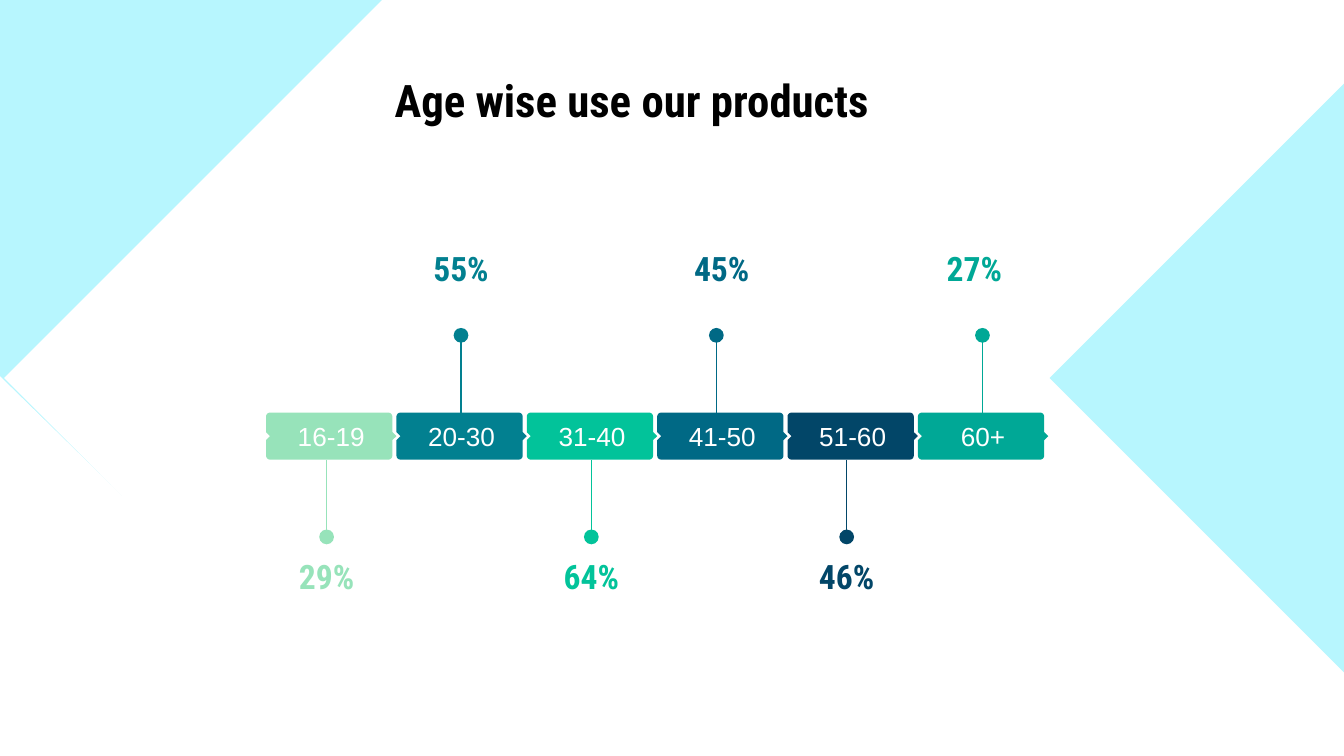
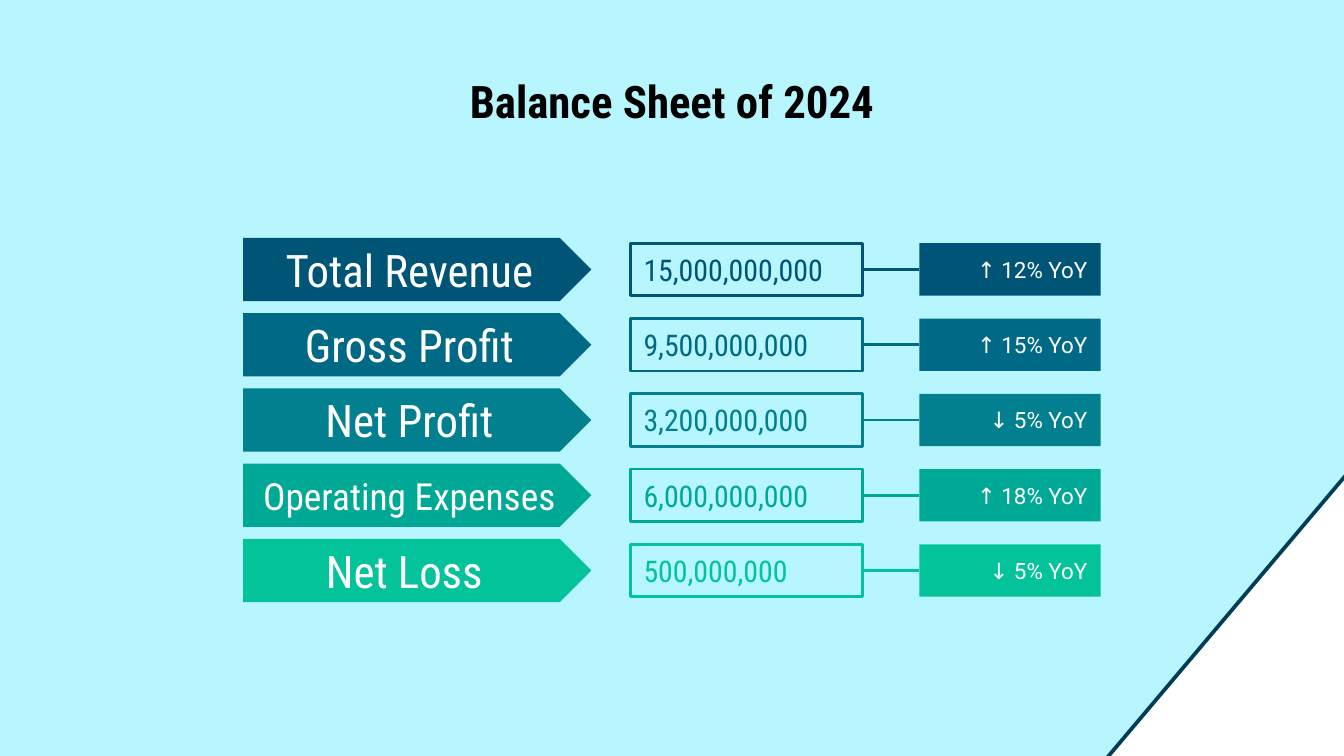
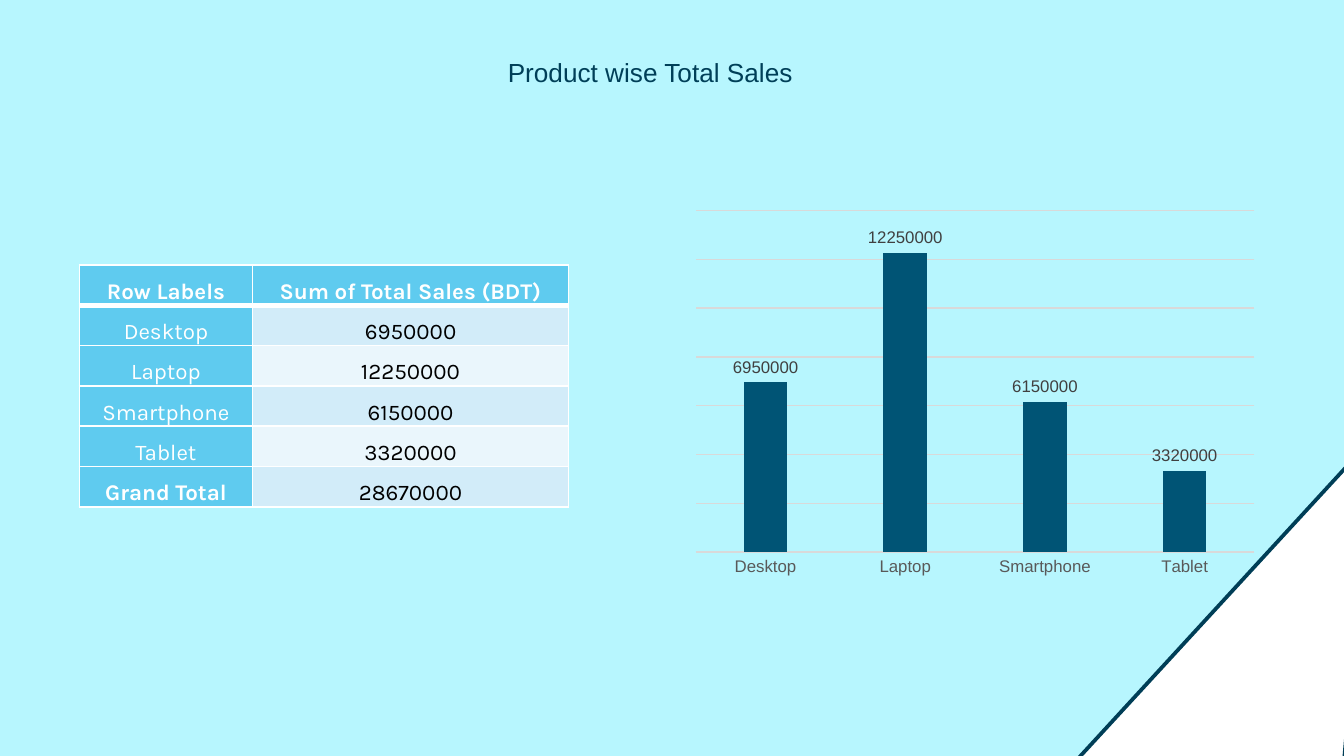
import math

from lxml import etree
from pptx import Presentation
from pptx import util as u
from pptx.chart.data import CategoryChartData
from pptx.dml.color import RGBColor
from pptx.enum import chart as charts, shapes, text
from pptx.oxml.ns import qn

COLORS = {
    "page": "B7F6FE", "white": "FFFFFF", "black": "000000",
    "mint": "97E3BA", "teal": "028090", "green": "02C39A",
    "ocean": "006985", "navy": "024668", "jade": "00A896",
    "deep": "005475", "edge": "003E57", "heading": "003F58",
    "header": "5FCBEF", "band": "D2ECF9", "pale": "EAF6FC",
    "grid": "D9D9D9", "axis": "595959", "value": "404040",
}
CONDENSED = "Roboto Condensed"
CENTER = text.PP_ALIGN.CENTER
LEFT = text.PP_ALIGN.LEFT
RIGHT = text.PP_ALIGN.RIGHT
SHAPE = shapes.MSO_SHAPE
PAGE_WIDTH = 10
PAGE_HEIGHT = PAGE_WIDTH * 9 / 16

AGE_GROUPS = [
    ("16-19", "29%", "mint", 2.43, 2.43),
    ("20-30", "55%", "teal", 3.43, 3.43),
    ("31-40", "64%", "green", 4.4, 4.4),
    ("41-50", "45%", "ocean", 5.33, 5.37),
    ("51-60", "46%", "navy", 6.3, 6.3),
    ("60+", "27%", "jade", 7.31, 7.25),
]
BALANCE = [
    ("Total Revenue", "15,000,000,000", "↑ 12% YoY", "deep", 24),
    ("Gross Profit", "9,500,000,000", "↑ 15% YoY", "ocean", 24),
    ("Net Profit", "3,200,000,000", "↓ 5% YoY", "teal", 24),
    ("Operating Expenses", "6,000,000,000", "↑ 18% YoY", "jade", 20),
    ("Net Loss ", "500,000,000", "↓ 5% YoY", "green", 24),
]
SALES = {"Desktop": 6950000, "Laptop": 12250000,
         "Smartphone": 6150000, "Tablet": 3320000}


def rgb(name):
    return RGBColor.from_string(COLORS[name])


def inches(*values):
    return [u.Inches(value) for value in values]


def style_font(font, size, color, face="Arial", bold=False):
    font.size = u.Pt(size)
    font.name = face
    font.bold = bold
    font.color.rgb = rgb(color)


def write(frame, content, size=14, color="white", face="Arial", bold=False,
          align=CENTER, anchor=text.MSO_ANCHOR.MIDDLE, inset=0.1):
    frame.word_wrap = True
    frame.vertical_anchor = anchor
    frame.margin_left = frame.margin_right = u.Inches(0.1)
    frame.margin_top = frame.margin_bottom = u.Inches(inset)
    para = frame.paragraphs[0]
    para.alignment = align
    span = para.add_run()
    span.text = content
    style_font(span.font, size, color, face, bold)


def paint(shape, fill=None, line=None, weight=1.5):
    shape.shadow.inherit = False
    if fill:
        shape.fill.solid()
        shape.fill.fore_color.rgb = rgb(fill)
    else:
        shape.fill.background()
    if line:
        shape.line.color.rgb = rgb(line)
        shape.line.width = u.Pt(weight)
    else:
        shape.line.fill.background()
    return shape


def add_shape(page, kind, box, fill=None, line=None, weight=1.5, turn=0):
    shape = page.shapes.add_shape(kind, *inches(*box))
    shape.rotation = turn
    return paint(shape, fill, line, weight)


def add_label(page, box, content, **style):
    write(page.shapes.add_textbox(*inches(*box)).text_frame, content, **style)


def add_line(page, start, end, color, weight):
    line = page.shapes.add_connector(
        shapes.MSO_CONNECTOR.STRAIGHT, *inches(*start, *end))
    line.line.color.rgb = rgb(color)
    line.line.width = u.Pt(weight)
    etree.SubElement(line._element.spPr, qn("a:effectLst"))
    return line


def add_page(deck):
    page = deck.slides.add_slide(deck.slide_layouts[6])
    page.background.fill.solid()
    page.background.fill.fore_color.rgb = rgb("page")
    return page


def add_title(page, left, top, content):
    add_label(page, (left, top, 9, 0.63), content, size=24, color="black",
              face=CONDENSED, bold=True, anchor=text.MSO_ANCHOR.TOP)


def add_corner(page, box, turn, apex=0.5):
    corner = add_shape(page, SHAPE.ISOSCELES_TRIANGLE, box, "white", "edge", 2, turn)
    corner.adjustments[0] = apex


def add_age_tag(page, left, top, content, color):
    width, height, notch, radius = 0.94, 0.35, 0.03, 0.03
    middle = height / 2

    def arc(x, y, start):
        angles = [math.radians(start + step * 22.5) for step in range(5)]
        return [(x + radius * math.cos(a), y + radius * math.sin(a)) for a in angles]

    near, far, low = radius, width - radius, height - radius
    outline = [
        *arc(near, near, 180), *arc(far, near, 270),
        (width, middle - notch), (width + notch, middle), (width, middle + notch),
        *arc(far, low, 0), *arc(near, low, 90),
        (0, middle + notch), (notch, middle), (0, middle - notch),
    ]
    points = [inches(left + x, top + y) for x, y in outline]
    builder = page.shapes.build_freeform(*points[0])
    builder.add_line_segments(points[1:], close=True)
    tag = paint(builder.convert_to_shape(), color)
    write(tag.text_frame, content)


def add_age_marker(page, center, label_center, share, color, above):
    stem, dot, label = ((2.53, 3.07), 2.44, 1.86) if above else ((3.96, 3.42), 3.94, 4.15)
    add_line(page, (center, stem[0]), (center, stem[1]), color, 0.75)
    add_shape(page, SHAPE.OVAL, (center - 0.055, dot, 0.11, 0.11), color)
    add_label(page, (label_center - 0.59, label, 1.18, 0.27), share,
              size=18, color=color, face=CONDENSED, bold=True)


def build_ages(deck):
    page = add_page(deck)
    add_shape(page, SHAPE.CHEVRON, (0.03, 0, 10.59, PAGE_HEIGHT), "white", turn=180)
    add_title(page, 0.2, 0.44, "Age wise use our products")
    for index, (ages, share, color, center, label_center) in enumerate(AGE_GROUPS):
        add_age_marker(page, center, label_center, share, color, index % 2 == 1)
        add_age_tag(page, 1.98 + index * 0.97, 3.07, ages, color)
    corner = add_shape(page, SHAPE.ISOSCELES_TRIANGLE,
                       (0, 2.8, 2.89, PAGE_HEIGHT - 2.8), "white")
    corner.adjustments[0] = 0


def add_balance_row(page, left, top, name, amount, change, color, size):
    banner = add_shape(page, SHAPE.PENTAGON, (left, top, 2.59, 0.47), color)
    write(banner.text_frame, name, size=size, face=CONDENSED)
    figure = add_shape(page, SHAPE.RECTANGLE,
                       (left + 2.88, top + 0.04, 1.73, 0.39), line=color)
    write(figure.text_frame, amount, size=16, color=color, face=CONDENSED, align=LEFT)
    badge = add_shape(page, SHAPE.RECTANGLE,
                      (left + 5.03, top + 0.04, 1.35, 0.39), color)
    write(badge.text_frame, change, size=12, face="Roboto", align=RIGHT)
    middle = top + 0.235
    link = add_line(page, (left + 4.61, middle), (left + 5.03, middle), color, 1.5)
    link.begin_connect(figure, 3)
    link.end_connect(badge, 1)


def build_balance(deck):
    page = add_page(deck)
    add_title(page, 0.5, 0.45, "Balance Sheet of 2024")
    for index, row in enumerate(BALANCE):
        add_balance_row(page, 1.81, 1.77 + index * 0.56, *row)
    add_corner(page, (8, 4.36, 3.41, 1.67), 130.2)


def add_borders(cell, top, bottom):
    properties = cell._tc.get_or_add_tcPr()
    sides = {"lnL": 1, "lnR": 1, "lnT": top, "lnB": bottom}
    for index, (side, weight) in enumerate(sides.items()):
        border = etree.Element(qn("a:" + side), w=str(u.Pt(weight)))
        fill = etree.SubElement(border, qn("a:solidFill"))
        etree.SubElement(fill, qn("a:srgbClr"), val=COLORS["white"])
        properties.insert(index, border)


def add_sales_table(page, box):
    rows = [("Row Labels", "Sum of Total Sales (BDT)"), *SALES.items(),
            ("Grand Total", sum(SALES.values()))]
    table = page.shapes.add_table(len(rows), 2, *inches(*box)).table
    for column, width in zip(table.columns, (1.29, 2.35)):
        column.width = u.Inches(width)
    for r, row in enumerate(rows):
        for c, content in enumerate(row):
            cell = table.cell(r, c)
            heading = r == 0 or c == 0
            fill = "header" if heading else "band" if r % 2 else "pale"
            cell.fill.solid()
            cell.fill.fore_color.rgb = rgb(fill)
            cell.margin_left = cell.margin_right = u.Inches(0.07)
            cell.margin_top = cell.margin_bottom = 0
            cell.vertical_anchor = text.MSO_ANCHOR.MIDDLE
            add_borders(cell, 3 if r == 1 else 1, 3 if r == 0 else 1)
            para = cell.text_frame.paragraphs[0]
            para.alignment = CENTER
            para.line_spacing = 1.5
            para.space_after = u.Pt(6)
            span = para.add_run()
            span.text = str(content)
            bold = r == 0 or (c == 0 and r == len(rows) - 1)
            style_font(span.font, 12, "white" if heading else "black", "Karla", bold)


def add_sales_chart(page, box):
    data = CategoryChartData()
    data.categories = list(SALES)
    data.add_series("Series 1", list(SALES.values()))
    chart = page.shapes.add_chart(
        charts.XL_CHART_TYPE.COLUMN_CLUSTERED, *inches(*box), data).chart
    chart.has_legend = False
    chart.has_title = False
    style_font(chart.font, 10, "black")

    plot = chart.plots[0]
    plot.gap_width = 219
    plot.overlap = -27
    plot.vary_by_categories = False
    bars = plot.series[0]
    bars.format.fill.solid()
    bars.format.fill.fore_color.rgb = rgb("deep")
    labels = bars.data_labels
    labels.show_value = True
    labels.position = charts.XL_LABEL_POSITION.OUTSIDE_END
    style_font(labels.font, 9, "value")

    products = chart.category_axis
    products.major_tick_mark = charts.XL_TICK_MARK.NONE
    style_font(products.tick_labels.font, 9, "axis")
    amounts = chart.value_axis
    amounts.visible = False
    amounts.minimum_scale = 0
    amounts.maximum_scale = 14000000
    amounts.major_unit = 2000000
    amounts.has_major_gridlines = True
    for line in (products.format.line, amounts.major_gridlines.format.line):
        line.color.rgb = rgb("grid")
        line.width = u.Pt(0.75)


def build_sales(deck):
    page = add_page(deck)
    add_label(page, (3.68, 0.37, 3.58, 0.57), "Product wise Total Sales",
              color="heading", align=LEFT, anchor=text.MSO_ANCHOR.TOP, inset=0.05)
    add_sales_chart(page, (5.09, 1.51, 4.33, 2.84))
    add_sales_table(page, (0.59, 1.97, 3.64, 1.8))
    add_corner(page, (7.9, 4.28, 3.41, 1.5), 132.6, 0.57)


def main():
    deck = Presentation()
    deck.slide_width, deck.slide_height = inches(PAGE_WIDTH, PAGE_HEIGHT)
    build_ages(deck)
    build_balance(deck)
    build_sales(deck)
    deck.save("out.pptx")


if __name__ == "__main__":
    main()
